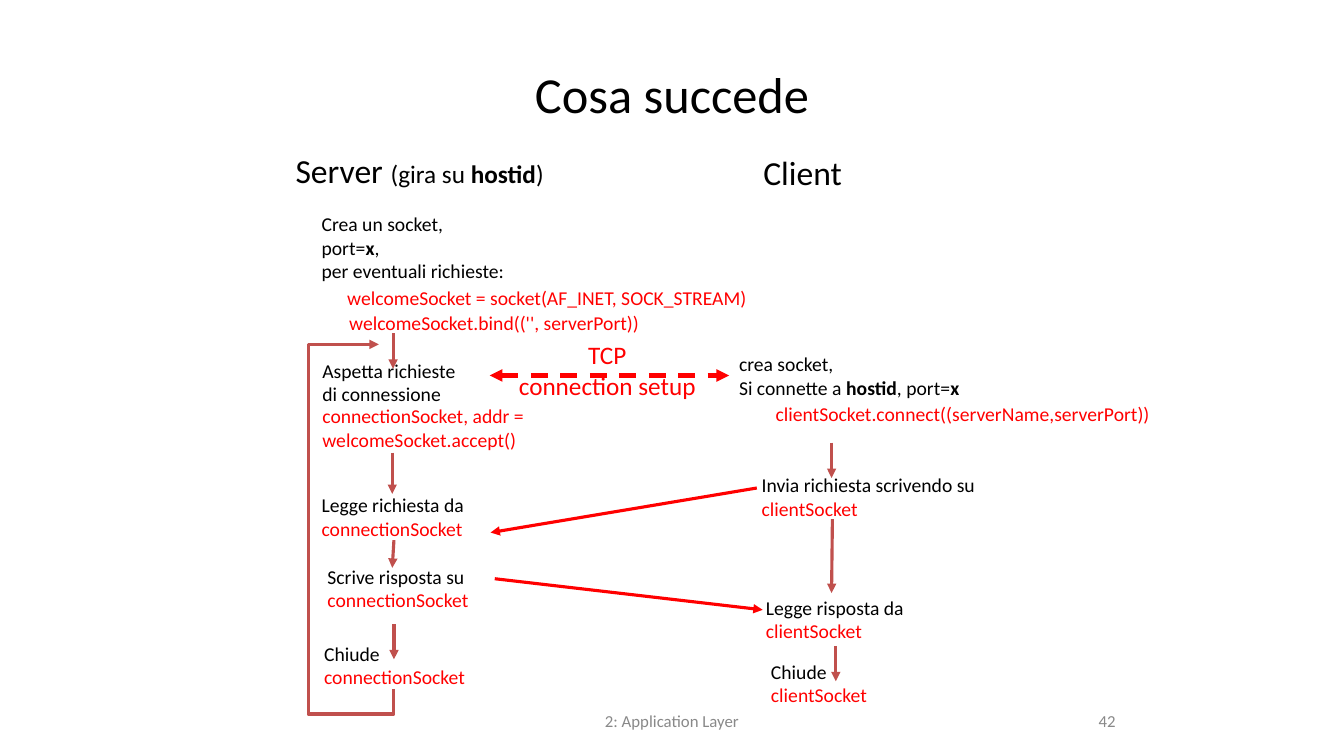
from dataclasses import dataclass

from lxml import etree
from pptx import Presentation
from pptx.dml.color import RGBColor
from pptx.enum.dml import MSO_LINE
from pptx.enum.shapes import MSO_CONNECTOR
from pptx.enum.text import MSO_ANCHOR, MSO_AUTO_SIZE, PP_ALIGN
from pptx.oxml.ns import qn
from pptx.util import Inches, Pt

LEFT, CENTER, RIGHT = PP_ALIGN.LEFT, PP_ALIGN.CENTER, PP_ALIGN.RIGHT
TOP, MIDDLE = MSO_ANCHOR.TOP, MSO_ANCHOR.MIDDLE
GROW, FIXED = MSO_AUTO_SIZE.SHAPE_TO_FIT_TEXT, MSO_AUTO_SIZE.NONE
STRAIGHT = MSO_CONNECTOR.STRAIGHT
DASH = MSO_LINE.DASH
LEFT_SIDE = 1
COLS, ROWS = 160, 90


@dataclass(frozen=True)
class Theme:
    font: str = "Calibri"
    ink: str = "000000"
    code: str = "FF0000"
    flow: str = "C0504D"
    muted: str = "898989"
    title: int = 36
    heading: int = 24
    label: int = 18
    body: int = 14
    footer: int = 12
    line: float = 2.25
    thick: float = 3


T = Theme()


def run(text, **fmt):
    return text, fmt


def add_run(p, text, size=T.body, color=T.ink, bold=False):
    r = p.add_run()
    r.text = text
    r.font.name = T.font
    r.font.size = Pt(size)
    r.font.bold = bold
    r.font.color.rgb = RGBColor.from_string(color)


class Deck:
    def __init__(self, theme):
        self.theme = theme
        self.prs = Presentation()
        self.prs.slide_width, self.prs.slide_height = Inches(13.33), Inches(7.5)
        self.s = self.prs.slides.add_slide(self.prs.slide_layouts[5])

    def x(self, col):
        return round(self.prs.slide_width * col / COLS)

    def y(self, row):
        return round(self.prs.slide_height * row / ROWS)

    def box(self, col, row, cols, rows):
        return self.x(col), self.y(row), self.x(cols), self.y(rows)

    def fill_text(self, tf, lines, align, anchor):
        tf.vertical_anchor = anchor
        for i, line in enumerate(lines):
            p = tf.add_paragraph() if i else tf.paragraphs[0]
            p.alignment = align
            for text, fmt in line:
                add_run(p, text, **fmt)

    def title(self, text, area):
        sp = self.s.shapes.title
        sp.left, sp.top, sp.width, sp.height = self.box(*area)
        self.fill_text(sp.text_frame, [[run(text, size=self.theme.title)]], CENTER, MIDDLE)

    def text(self, area, *lines, align=LEFT, anchor=MIDDLE, wrap=False):
        sp = self.s.shapes.add_textbox(*self.box(*area))
        tf = sp.text_frame
        tf.word_wrap = wrap
        tf.auto_size = FIXED if wrap else GROW
        self.fill_text(tf, lines, align, anchor)
        return sp

    def code(self, area, *lines, align=RIGHT):
        rows = [[run(line, color=self.theme.code)] for line in lines]
        return self.text(area, *rows, align=align, anchor=TOP, wrap=True)

    def step(self, col, row, cols, action, socket):
        self.text((col, row, cols, 6.8), [run(action)], [run(socket, color=self.theme.code)])

    def footer(self, area, text, align):
        line = [run(text, size=self.theme.footer, color=self.theme.muted)]
        self.text(area, line, align=align, wrap=True)

    def style_line(self, sp, color, width, dash=None, ends=("tailEnd",)):
        sp.line.color.rgb = RGBColor.from_string(color)
        sp.line.width = Pt(width)
        if dash:
            sp.line.dash_style = dash
        ln = sp.element.spPr.find(qn("a:ln"))
        for end in ends:
            etree.SubElement(ln, qn("a:" + end), type="triangle")

    def arrow(self, x1, y1, x2, y2, color, width=T.line, **fmt):
        c = self.s.shapes.add_connector(STRAIGHT, self.x(x1), self.y(y1), self.x(x2), self.y(y2))
        self.style_line(c, color, width, **fmt)
        etree.SubElement(c.element.spPr, qn("a:effectLst"))
        return c

    def loop(self, start, *points):
        fb = self.s.shapes.build_freeform(self.x(start[0]), self.y(start[1]))
        fb.add_line_segments([(self.x(a), self.y(b)) for a, b in points], close=False)
        sp = fb.convert_to_shape()
        sp.shadow.inherit = False
        sp.fill.background()
        self.style_line(sp, self.theme.flow, self.theme.line)


def main():
    d = Deck(T)
    d.title("Cosa succede", (26, 3.6, 108, 15))
    d.footer((61, 83.4, 38, 4.8), "2: Application Layer", CENTER)
    d.footer((106, 83.4, 28, 4.8), "42", RIGHT)

    d.text((33.8, 17.2, 32.3, 6.1),
           [run("Server ", size=T.heading), run("(gira su ", size=T.label),
            run("hostid", size=T.label, bold=True), run(")", size=T.label)], align=CENTER)
    d.text((89.6, 17.4, 11.9, 6.1), [run("Client", size=T.heading)], align=CENTER)

    d.text((37.1, 24.6, 24.4, 9.7),
           [run("Crea un socket,")],
           [run("port="), run("x", bold=True), run(",")],
           [run("per eventuali richieste:")])
    d.text((37.2, 42.1, 18.5, 6.8), [run("Aspetta richieste")], [run("di connessione")])
    client_start = d.text((86.8, 41.3, 28.9, 6.8),
                          [run("crea socket,")],
                          [run("Si connette a "), run("hostid", bold=True),
                           run(", port="), run("x", bold=True)])

    d.code((31.9, 33.4, 58.2, 9.6), "welcomeSocket = socket(AF_INET, SOCK_STREAM)")
    d.code((37.2, 36.4, 40.1, 6.8), "welcomeSocket.bind(('', serverPort))")
    d.code((37.2, 47.5, 55.1, 6.7), "connectionSocket, addr =", "welcomeSocket.accept()", align=LEFT)
    d.code((76.4, 47.3, 61.7, 4), "clientSocket.connect((serverName,serverPort))")

    for col, row, cols, action in [(37.1, 58.1, 19.6, "Legge richiesta da"),
                                   (37.8, 66.6, 19.3, "Scrive risposta su"),
                                   (37.4, 75.8, 19.3, "Chiude")]:
        d.step(col, row, cols, action, "connectionSocket")
    for col, row, cols, action in [(89.5, 55.7, 28.1, "Invia richiesta scrivendo su"),
                                   (90, 70.3, 19, "Legge risposta da"),
                                   (90.6, 77.9, 13.9, "Chiude")]:
        d.step(col, row, cols, action, "clientSocket")

    server_flow = [(46.8, 39.7, 46.8, 43.9), (46.7, 53.9, 46.7, 58.8),
                   (46.9, 64.3, 46.7, 67.6), (46.9, 74.3, 46.9, 78.5)]
    client_flow = [(99, 52.7, 99, 56.9), (99.1, 61.8, 99, 70.6), (99.5, 76.9, 99.5, 81.1)]
    for ends in server_flow + client_flow:
        d.arrow(*ends, T.flow)
    d.loop((46.9, 82), (46.9, 85), (36.7, 85), (36.7, 41), (45.1, 41))

    messages = [(90.1, 58.1, 58.4, 63.4), (58.9, 68.9, 90.8, 72.6)]
    for ends in messages:
        d.arrow(*ends, T.code)
    setup = d.arrow(58.3, 44.7, 86.8, 44.7, T.code, T.thick, dash=DASH, ends=("headEnd", "tailEnd"))
    setup.end_connect(client_start, LEFT_SIDE)
    d.text((60.4, 39.8, 23.8, 8.5),
           *[[run(line, size=T.label, color=T.code)] for line in ("TCP", "connection setup")],
           align=CENTER)

    d.prs.save("out.pptx")


if __name__ == "__main__":
    main()
